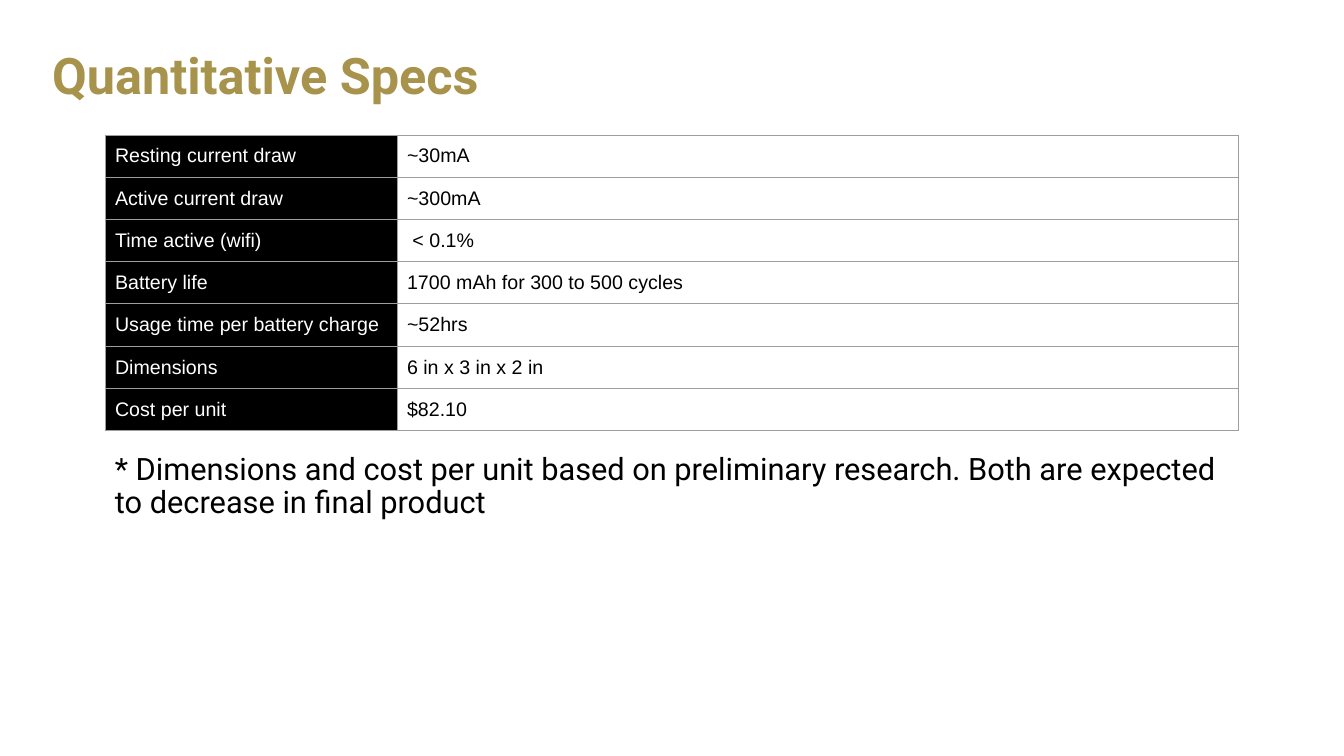
from lxml import etree
from pptx import Presentation
from pptx import util as u
from pptx.dml.color import RGBColor
from pptx.enum import text
from pptx.oxml.ns import qn

SPECS = [
    ("Resting current draw", "~30mA"),
    ("Active current draw", "~300mA"),
    ("Time active (wifi)", " < 0.1%"),
    ("Battery life", "1700 mAh for 300 to 500 cycles"),
    ("Usage time per battery charge", "~52hrs"),
    ("Dimensions", "6 in x 3 in x 2 in"),
    ("Cost per unit", "$82.10"),
]


def px(length):
    return u.Emu(round(length * 914400 / 100.8))


def color(value):
    return RGBColor.from_string(value)


class SpecSlide:
    gold, black, white, rule = "A7934B", "000000", "FFFFFF", "9E9E9E"
    heading_font, table_font = "Roboto", "Arial"

    def __init__(self, deck):
        self.slide = deck.slides.add_slide(deck.slide_layouts[5])

    def set_words(self, paragraph, words, font, size, ink, bold=False):
        paragraph.text = words
        paragraph.alignment = text.PP_ALIGN.LEFT
        paragraph.font.name = font
        paragraph.font.size = u.Pt(size)
        paragraph.font.bold = bold
        paragraph.font.color.rgb = color(ink)

    def fill_box(self, box, words, size, ink, anchor, bold=False):
        frame = box.text_frame
        frame.word_wrap = True
        frame.auto_size = text.MSO_AUTO_SIZE.NONE
        frame.vertical_anchor = anchor
        self.set_words(frame.paragraphs[0], words, self.heading_font, size, ink, bold)
        frame.paragraphs[0].line_spacing = 0.9

    def title(self, words, left, top, width, height):
        heading = self.slide.shapes.title
        heading.left, heading.top = px(left), px(top)
        heading.width, heading.height = px(width), px(height)
        self.fill_box(heading, words, 36, self.gold, text.MSO_ANCHOR.MIDDLE, True)

    def note(self, words, left, top, width, height):
        footnote = self.slide.shapes.add_textbox(px(left), px(top), px(width), px(height))
        self.fill_box(footnote, words, 22, self.black, text.MSO_ANCHOR.TOP)

    def borders(self, cell):
        properties = cell._tc.get_or_add_tcPr()
        for index, side in enumerate(("lnL", "lnR", "lnT", "lnB")):
            line = etree.Element(qn(f"a:{side}"), w=str(u.Pt(0.75)))
            paint = etree.SubElement(line, qn("a:solidFill"))
            etree.SubElement(paint, qn("a:srgbClr"), val=self.rule)
            properties.insert(index, line)

    def cell(self, cell, words, ink, fill=None):
        cell.margin_left = cell.margin_right = u.Inches(0.1)
        cell.margin_top = cell.margin_bottom = u.Inches(0.1)
        if fill:
            cell.fill.solid()
            cell.fill.fore_color.rgb = color(fill)
        else:
            cell.fill.background()
        self.set_words(cell.text_frame.paragraphs[0], words, self.table_font, 14, ink)
        self.borders(cell)

    def table(self, rows, left, top, widths, row_height):
        grid = self.slide.shapes.add_table(
            len(rows), len(widths), px(left), px(top),
            px(sum(widths)), px(row_height * len(rows))).table
        grid.first_row = grid.horz_banding = False
        for column, width in zip(grid.columns, widths):
            column.width = px(width)
        for index, (spec_name, value) in enumerate(rows):
            self.cell(grid.cell(index, 0), spec_name, self.white, self.black)
            self.cell(grid.cell(index, 1), value, self.black)


def main():
    deck = Presentation()
    deck.slide_width, deck.slide_height = px(1344), px(756)
    specs = SpecSlide(deck)
    specs.note("* Dimensions and cost per unit based on preliminary research. "
               "Both are expected to decrease in final product", 105, 449, 1134, 112)
    specs.title("Quantitative Specs", 42, 22, 1260, 112)
    specs.table(SPECS, 105, 135, (292, 842), 42)
    deck.save("out.pptx")


if __name__ == "__main__":
    main()
